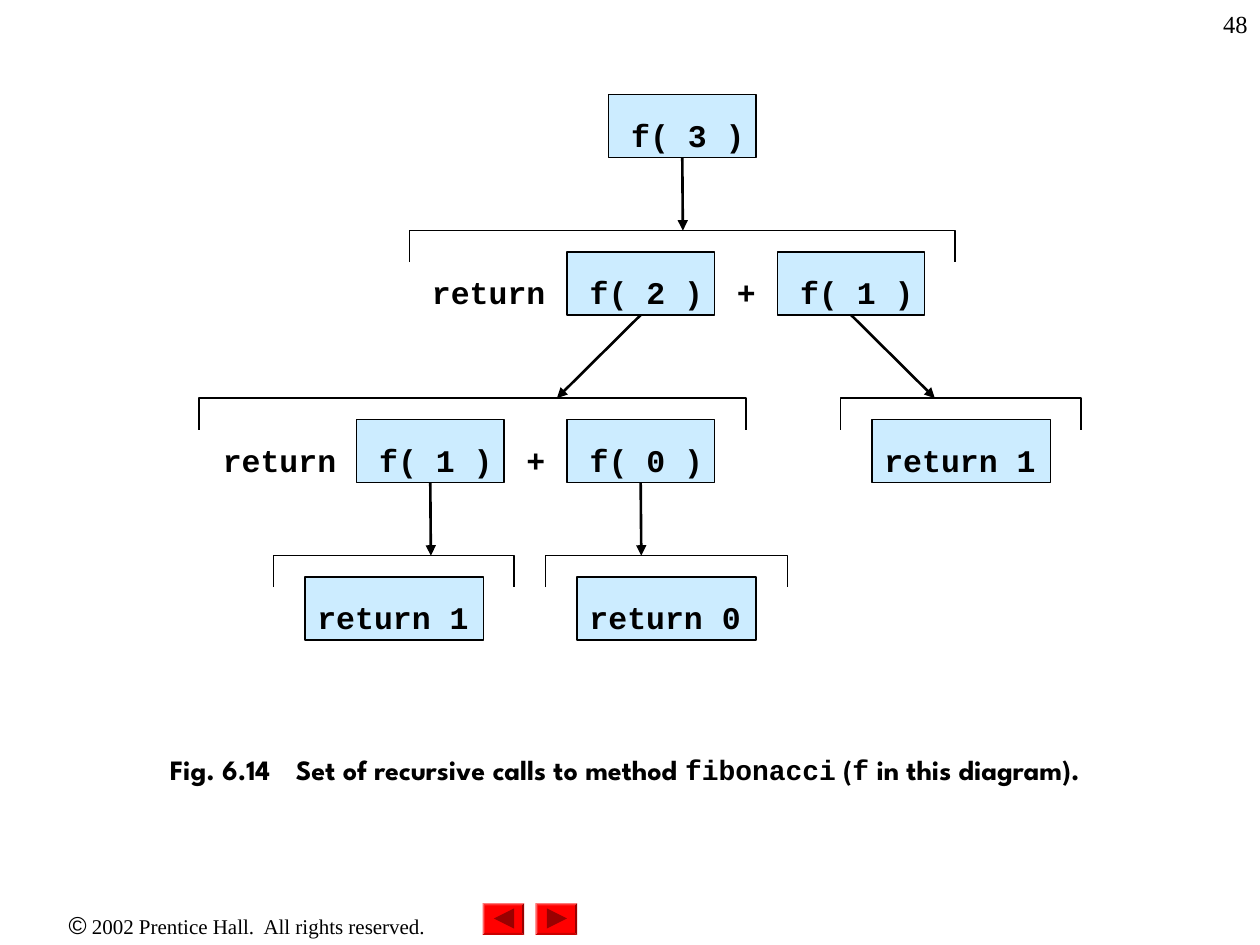
from lxml.etree import SubElement
from pptx import Presentation
from pptx.dml.color import RGBColor
from pptx.enum.shapes import MSO_CONNECTOR as CONNECTOR, MSO_SHAPE as SHAPE
from pptx.enum.text import MSO_ANCHOR as ANCHOR, PP_ALIGN as ALIGN
from pptx.oxml.ns import qn
from pptx.util import Inches, Pt

BLACK = RGBColor(0x00, 0x00, 0x00)
PALE_BLUE = RGBColor(0xCC, 0xEC, 0xFF)
RED = RGBColor(0xFF, 0x00, 0x00)
DARK_RED = RGBColor(0x99, 0x00, 0x00)
MONO, SERIF, SANS, CAPTION_FONT = "Courier New", "Times New Roman", "Arial", "League Spartan"
ROWS = [0.75, 2, 3.33, 4.58]
BOX_HEIGHT = 0.5
BRACKET_GAP, BRACKET_DROP = 0.17, 0.25


def write(shape, runs, align=ALIGN.LEFT, left=0.1, top=0.05, wrap=True):
    frame = shape.text_frame
    frame_format = {
        "word_wrap": wrap,
        "vertical_anchor": ANCHOR.TOP,
        "margin_left": Inches(left),
        "margin_top": Inches(top),
        "margin_right": Inches(0.1 if align != ALIGN.LEFT else 0),
        "margin_bottom": Inches(0),
    }
    for name, value in frame_format.items():
        setattr(frame, name, value)
    paragraph = frame.paragraphs[0]
    paragraph.alignment = align
    for text, font_name, size, bold in runs:
        run = paragraph.add_run()
        run.text = text
        for name, value in {"name": font_name, "size": Pt(size), "bold": bold}.items():
            setattr(run.font, name, value)
        run.font.color.rgb = BLACK
    return paragraph


def outline(points, closed):
    corners = [(Inches(x), Inches(y)) for x, y in points]
    builder = slide.shapes.build_freeform(*corners[0])
    builder.add_line_segments(corners[1:], close=closed)
    shape = builder.convert_to_shape()
    shape.shadow.inherit = False
    return shape


prs = Presentation()
prs.slide_width, prs.slide_height = Inches(10), Inches(7.5)
slide = prs.slides.add_slide(prs.slide_layouts[6])

copyright_line = slide.shapes.add_textbox(Inches(0), Inches(7.17), Inches(3.92), Inches(0.33))
write(copyright_line, [
    ("©", SANS, 14, False),
    (" 2002 Prentice Hall.  All rights reserved.", SERIF, 12, False),
], ALIGN.CENTER)

page_number = slide.shapes.add_textbox(Inches(7.92), Inches(0), Inches(2.08), Inches(0.5))
write(page_number, [("48", SERIF, 14, False)], ALIGN.RIGHT, top=0.07)

for button_left, base, tip in [(3.83, 0.25, 0.09), (4.25, 0.09, 0.25)]:
    button = slide.shapes.add_shape(
        SHAPE.BEVEL, Inches(button_left), Inches(7.17), Inches(0.33), Inches(0.25))
    button.adjustments[0] = 0.06
    button.shadow.inherit = False
    button.fill.solid()
    button.fill.fore_color.rgb = RED
    button.line.fill.background()
    triangle = outline([(button_left + base, 7.21), (button_left + tip, 7.29),
                        (button_left + base, 7.37)], True)
    triangle.fill.solid()
    triangle.fill.fore_color.rgb = DARK_RED
    triangle.line.fill.background()

boxes = {}
for row, left, width, label in [
    (0, 4.83, 1.17, "f( 3 )"),
    (1, 4.5, 1.17, "f( 2 )"),
    (1, 6.17, 1.17, "f( 1 )"),
    (2, 2.83, 1.17, "f( 1 )"),
    (2, 4.5, 1.17, "f( 0 )"),
    (2, 6.92, 1.42, "return 1"),
    (3, 2.42, 1.42, "return 1"),
    (3, 4.58, 1.42, "return 0"),
]:
    box = slide.shapes.add_shape(
        SHAPE.RECTANGLE, Inches(left), Inches(ROWS[row]), Inches(width), Inches(BOX_HEIGHT))
    box.shadow.inherit = False
    box.fill.solid()
    box.fill.fore_color.rgb = PALE_BLUE
    box.line.color.rgb = BLACK
    box.line.width = Pt(0.75)
    text_left = 0.18 if label.startswith("f") else 0.1
    write(box, [(label, MONO, 18, True)], left=text_left, top=0.17, wrap=False)
    boxes[row, label] = box

for row, left, width, label in [
    (1, 3.33, 1.1, "return"), (1, 5.75, 0.35, "+"),
    (2, 1.67, 1.1, "return"), (2, 4.08, 0.35, "+"),
]:
    operand = slide.shapes.add_textbox(
        Inches(left), Inches(ROWS[row]), Inches(width), Inches(BOX_HEIGHT))
    write(operand, [(label, MONO, 18, True)], top=0.17, wrap=False)

for row, left, right in [
    (1, 3.25, 7.58), (2, 1.58, 5.92), (2, 6.67, 8.58), (3, 2.17, 4.08), (3, 4.33, 6.25),
]:
    top = ROWS[row] - BRACKET_GAP
    bottom = top + BRACKET_DROP
    bracket = outline([(left, bottom), (left, top), (right, top), (right, bottom)], False)
    bracket.fill.background()
    bracket.line.color.rgb = BLACK
    bracket.line.width = Pt(0.75)

for row, caller, target in [
    (0, "f( 3 )", 5.42), (1, "f( 2 )", 4.42), (1, "f( 1 )", 7.42),
    (2, "f( 1 )", 3.42), (2, "f( 0 )", 5.09),
]:
    end_y = Inches(ROWS[row + 1] - BRACKET_GAP)
    arrow = slide.shapes.add_connector(
        CONNECTOR.STRAIGHT, Inches(target), end_y, Inches(target), end_y)
    arrow.begin_connect(boxes[row, caller], 2)
    arrow.line.color.rgb = BLACK
    arrow.line.width = Pt(1.5)
    SubElement(arrow.line._get_or_add_ln(), qn("a:tailEnd"), type="triangle")
    SubElement(arrow._element.spPr, qn("a:effectLst"))

caption = slide.shapes.add_textbox(Inches(1.25), Inches(5.92), Inches(7.92), Inches(0.37))
caption_line = write(caption, [
    ("Fig. 6.14\tSet of recursive calls to method ", CAPTION_FONT, 16, True),
    ("fibonacci", MONO, 16, True),
    (" (", CAPTION_FONT, 16, True),
    ("f", MONO, 16, True),
    (" in this diagram).", CAPTION_FONT, 16, True),
])
tab_stops = SubElement(caption_line._p.get_or_add_pPr(), qn("a:tabLst"))
SubElement(tab_stops, qn("a:tab"), pos=str(Inches(1)), algn="l")

prs.save("out.pptx")
